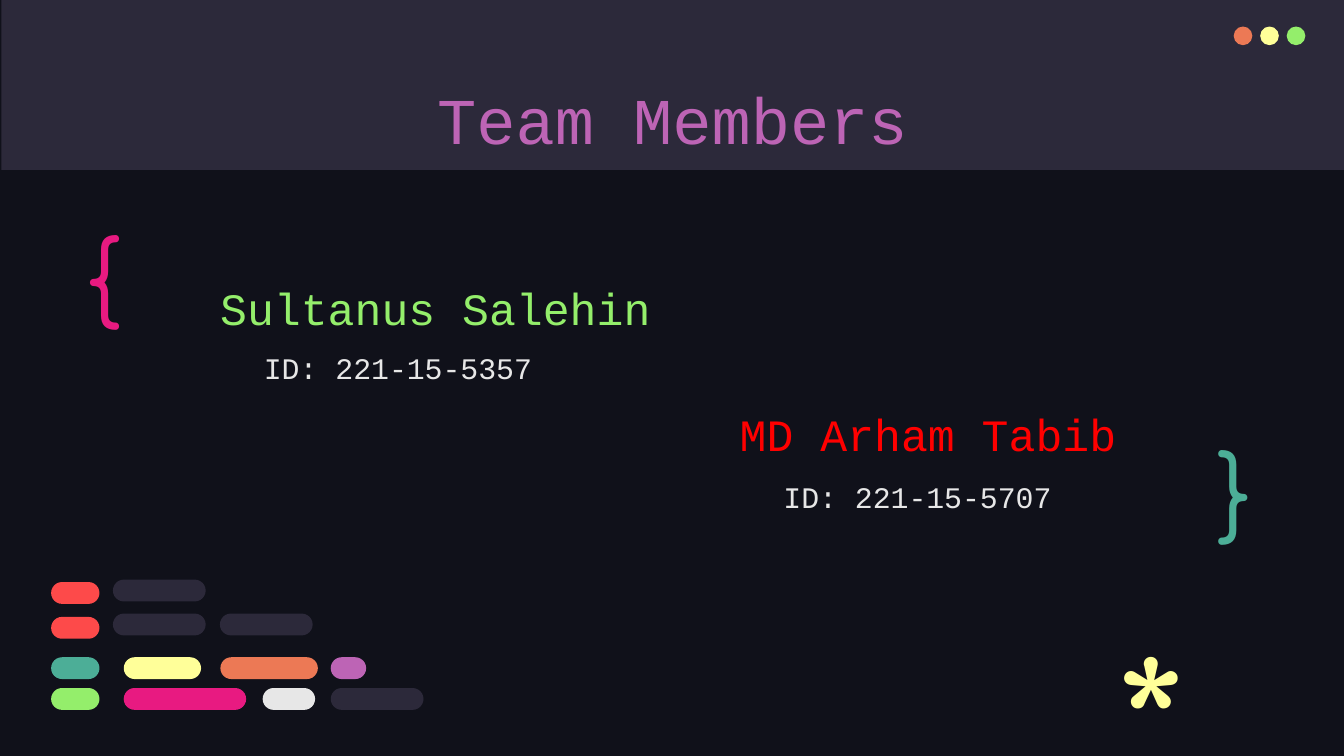
import dataclasses

import pptx
import pptx.dml.color
import pptx.enum.shapes
import pptx.enum.text
import pptx.util

SHAPE = pptx.enum.shapes.MSO_SHAPE
ANCHOR = pptx.enum.text.MSO_ANCHOR
ALIGN = pptx.enum.text.PP_ALIGN
Pt = pptx.util.Pt


@dataclasses.dataclass(frozen=True)
class Theme:
    """Colours, fonts and type sizes of the deck."""
    night: str = "10111A"
    panel: str = "2C293A"
    orange: str = "EC7955"
    yellow: str = "FFFF99"
    green: str = "94EE6B"
    purple: str = "BD64B5"
    white: str = "E7E7E7"
    red: str = "FF0000"
    coral: str = "FD4A4A"
    pink: str = "E81A81"
    teal: str = "4CAE97"
    code_font: str = "Courier New"
    symbol_font: str = "Comfortaa"
    title_size: float = 35
    name_size: float = 24
    id_size: float = 16
    brace_size: float = 50
    star_size: float = 96


@dataclasses.dataclass(frozen=True)
class Box:
    """A rectangle in points."""
    left: float
    top: float
    width: float
    height: float

    def inner(self, left, top, width, height):
        """Return a box placed relative to this one."""
        return Box(self.left + left, self.top + top, width, height)

    def lengths(self):
        """Return left, top, width and height as lengths."""
        return [Pt(value) for value in dataclasses.astuple(self)]


THEME = Theme()


def rgb(value):
    """Turn a hex string into a colour."""
    return pptx.dml.color.RGBColor.from_string(value)


def apply(target, values):
    """Set each named value on the target."""
    for name, value in values.items():
        setattr(target, name, value)


def add_block(page, kind, box, colour):
    """Add a flat shape without outline or shadow."""
    shape = page.shapes.add_shape(kind, *box.lengths())
    shape.shadow.inherit = False
    shape.fill.solid()
    shape.fill.fore_color.rgb = rgb(colour)
    shape.line.fill.background()
    return shape


def add_text(page, box, text, size, colour, font=THEME.code_font,
             anchor=ANCHOR.TOP, align=ALIGN.LEFT, spacing=1.0):
    """Add one line of text in the given box."""
    frame = page.shapes.add_textbox(*box.lengths()).text_frame
    margins = {f"margin_{side}": Pt(7.2) for side in ("left", "top", "right", "bottom")}
    apply(frame, {"word_wrap": True, "vertical_anchor": anchor, **margins})
    para = frame.paragraphs[0]
    apply(para, {"alignment": align, "line_spacing": spacing})
    span = para.add_run()
    span.text = text
    apply(span.font, {"name": font, "size": Pt(size)})
    span.font.color.rgb = rgb(colour)


def add_header(page, box):
    """Draw the title band with its three window dots."""
    add_block(page, SHAPE.RECTANGLE, box, THEME.panel)
    for index, colour in enumerate((THEME.orange, THEME.yellow, THEME.green)):
        dot = box.inner(660.2 + 14.2 * index, 14.2, 10, 10)
        add_block(page, SHAPE.OVAL, dot, colour)
    add_text(page, box.inner(56.2, 35.3, 607, 45.4), "Team Members",
             THEME.title_size, THEME.purple, align=ALIGN.CENTER)


def add_member(page, box, name, number, colour, id_top):
    """Place a member's name with the ID indented below it."""
    add_text(page, box.inner(0, 0, box.width, 43.9), name, THEME.name_size,
             colour, anchor=ANCHOR.BOTTOM, spacing=1.15)
    add_text(page, box.inner(23.4, id_top, 219.6, 116.6), f"ID: {number}",
             THEME.id_size, THEME.white, spacing=1.15)


def add_symbol(page, box, symbol, size, colour, anchor=ANCHOR.TOP):
    """Place a large decorative code symbol."""
    add_text(page, box, symbol, size, colour, THEME.symbol_font, anchor)


def add_code_bars(page, box):
    """Draw rows of rounded bars that suggest lines of code."""
    rows = (
        (0, ((33.1, 49.7, THEME.panel),)),
        (1.3, ((0, 25.9, THEME.coral),)),
        (18.2, ((33.1, 49.7, THEME.panel), (90.4, 49.7, THEME.panel))),
        (20, ((0, 25.9, THEME.coral),)),
        (41.6, ((0, 25.9, THEME.teal), (38.9, 41.4, THEME.yellow),
                (90.7, 52.2, THEME.orange), (149.8, 19, THEME.purple))),
        (58.1, ((0, 25.9, THEME.green), (38.9, 65.6, THEME.pink),
                (113.3, 28.1, THEME.white), (149.8, 49.7, THEME.panel))),
    )
    for top, bars in rows:
        for left, width, colour in bars:
            bar = add_block(page, SHAPE.ROUNDED_RECTANGLE,
                            box.inner(left, top, width, 11.7), colour)
            bar.adjustments[0] = 0.5


def add_team_page(deck, box):
    """Build the team members page."""
    page = deck.slides.add_slide(deck.slide_layouts[6])
    page.background.fill.solid()
    page.background.fill.fore_color.rgb = rgb(THEME.night)
    add_header(page, box.inner(0.7, 0, box.width - 0.7, 91.1))
    add_member(page, box.inner(110.9, 142.6, 254.9, 78.5),
               "Sultanus Salehin", "221-15-5357", THEME.green, 34.5)
    add_member(page, box.inner(389.2, 210.2, 219.6, 80),
               "MD Arham Tabib", "221-15-5707", THEME.red, 36)
    add_symbol(page, box.inner(38.9, 108, 55.4, 68.4), "{",
               THEME.brace_size, THEME.pink)
    add_symbol(page, box.inner(644.9, 230.4, 45, 59.8), "}",
               THEME.brace_size, THEME.teal, ANCHOR.MIDDLE)
    add_code_bars(page, box.inner(27.4, 310.5, 199.5, 69.8))
    add_symbol(page, box.inner(591.1, 324, 41, 62.6), "*",
               THEME.star_size, THEME.yellow)


def main():
    """Create and save the deck."""
    deck = pptx.Presentation()
    box = Box(0, 0, 720, 405)
    apply(deck, {"slide_width": Pt(box.width), "slide_height": Pt(box.height)})
    add_team_page(deck, box)
    deck.save("out.pptx")


if __name__ == "__main__":
    main()
